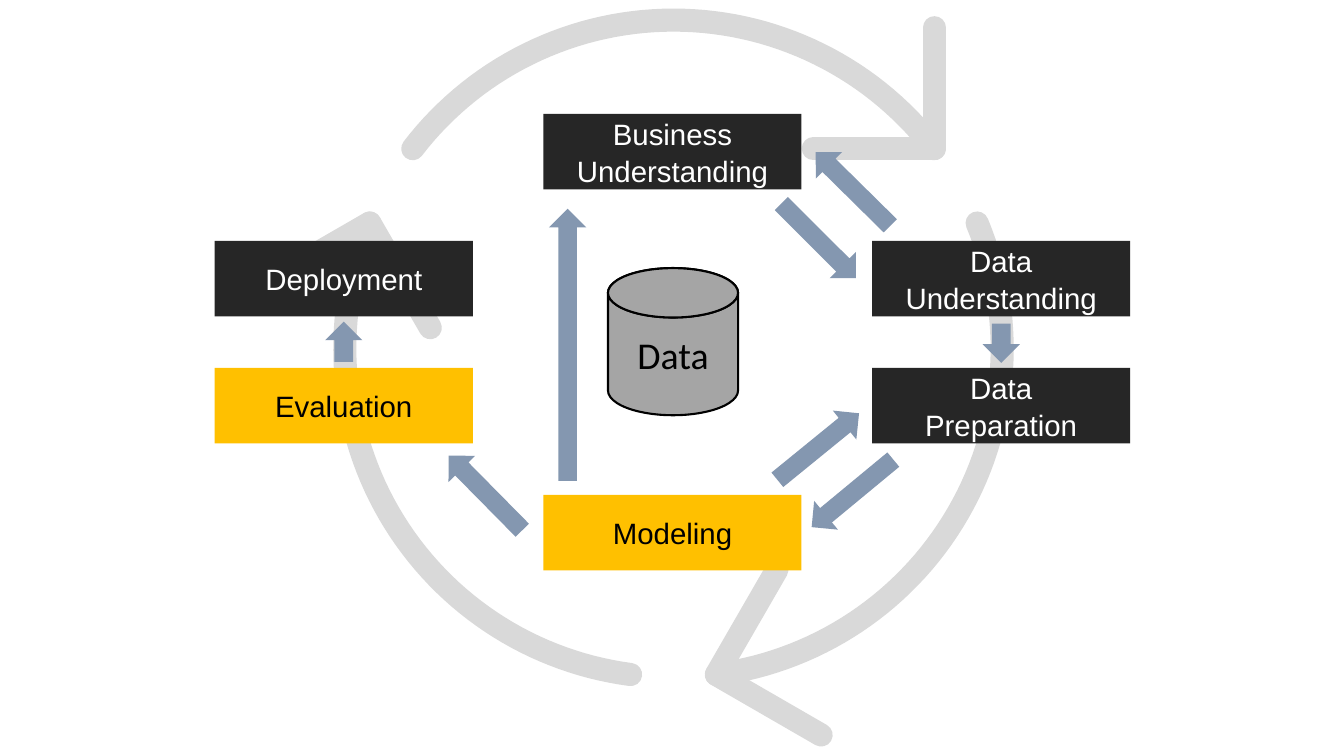
"""Build a slide of the data mining cycle around a data store."""
from math import atan2, cos, degrees, hypot, radians, sin

from lxml import etree
from pptx import Presentation
from pptx import util as u
from pptx.dml.color import RGBColor
from pptx.enum import shapes, text
from pptx.oxml.ns import qn

KIND = shapes.MSO_SHAPE


def paint(shape, fill=None, line=None, width=1.5):
    shape.shadow.inherit = False
    for part, tone in ((shape.fill, fill), (shape.line.fill, line)):
        if tone:
            part.solid()
            part.fore_color.rgb = RGBColor.from_string(tone)
        else:
            part.background()
    if line:
        shape.line.width = u.Pt(width)


def write(shape, words, size, face, tone):
    frame = shape.text_frame
    frame.text = words
    form = {"margin_left": 0, "margin_right": 0, "margin_top": 0,
            "margin_bottom": 0, "word_wrap": False,
            "vertical_anchor": text.MSO_ANCHOR.MIDDLE}
    for key, value in form.items():
        setattr(frame, key, value)
    for para in frame.paragraphs:
        para.alignment = text.PP_ALIGN.CENTER
        if len(frame.paragraphs) > 1:
            para.line_spacing = u.Pt(26)
        para.font.size = u.Pt(size)
        para.font.name = face
        para.font.color.rgb = RGBColor.from_string(tone)


deck = Presentation()
deck.slide_width, deck.slide_height = u.Inches(13.33), u.Inches(7.5)
slide = deck.slides.add_slide(deck.slide_layouts[6])
items = slide.shapes

mid_x, mid_y, radius = 6.68, 3.46, 3.26
sweep, steps, barb = 105, 60, 1.2
for tip in (82.5, 202.5, 322.5):
    ring = []
    for i in range(steps + 1):
        turn = radians(tip - sweep + sweep * i / steps)
        ring.append((u.Inches(mid_x + radius * cos(turn)),
                     u.Inches(mid_y + radius * sin(turn))))
    end_x, end_y = ring[-1]
    legs = [(end_x + u.Inches(barb) * cos(radians(tip + lean)),
             end_y + u.Inches(barb) * sin(radians(tip + lean)))
            for lean in (-142.5, -52.5)]
    build = items.build_freeform(*ring[0])
    build.add_line_segments(ring[1:], close=False)
    build.move_to(*legs[0])
    build.add_line_segments([ring[-1], legs[1]], close=False)
    sweep_arrow = build.convert_to_shape()
    paint(sweep_arrow, line="D9D9D9", width=16.5)
    stroke = sweep_arrow.line._get_or_add_ln()
    stroke.set("cap", "rnd")
    etree.SubElement(stroke, qn("a:round"))

steps_at = [
    ("Business\nUnderstanding", 1, 0, "262626", "FFFFFF"),
    ("Data\nUnderstanding", 2, 1, "262626", "FFFFFF"),
    ("Data\nPreparation", 2, 2, "262626", "FFFFFF"),
    ("Modeling", 1, 3, "FFC000", "000000"),
    ("Evaluation", 0, 2, "FFC000", "000000"),
    ("Deployment", 0, 1, "262626", "FFFFFF"),
]
for words, col, row, fill, tone in steps_at:
    box = items.add_shape(KIND.RECTANGLE, u.Inches(2.13 + 3.26 * col),
                          u.Inches(1.13 + 1.26 * row),
                          u.Inches(2.56), u.Inches(0.75))
    paint(box, fill)
    write(box, words, 21, "Arial", tone)

left, top, wide = u.Inches(6.03), u.Inches(2.66), u.Inches(1.29)
store = items.add_shape(KIND.CAN, left, top, wide, u.Inches(1.46))
store.adjustments[0] = 0.38
lid = items.add_shape(KIND.OVAL, left, top, wide, u.Inches(0.49))
for part in (store, lid):
    paint(part, "A5A5A5", "000000")
write(store, "Data", 27, "Calibri", "000000")

arrows = [
    (7.75, 2.02, 8.49, 2.76), (8.86, 4.56, 8.05, 5.23),
    (7.71, 4.76, 8.52, 4.1), (8.83, 2.24, 8.09, 1.51),
    (9.93, 3.21, 9.93, 3.6), (5.18, 5.26, 4.45, 4.52),
    (3.41, 3.59, 3.41, 3.19), (5.63, 4.77, 5.63, 2.07),
]
thick = 0.37
for x1, y1, x2, y2 in arrows:
    span = hypot(x2 - x1, y2 - y1)
    arrow = items.add_shape(KIND.RIGHT_ARROW,
                            u.Inches((x1 + x2 - span) / 2),
                            u.Inches((y1 + y2 - thick) / 2),
                            u.Inches(span), u.Inches(thick))
    arrow.rotation = degrees(atan2(y2 - y1, x2 - x1))
    paint(arrow, "8497B0")

deck.save("out.pptx")
